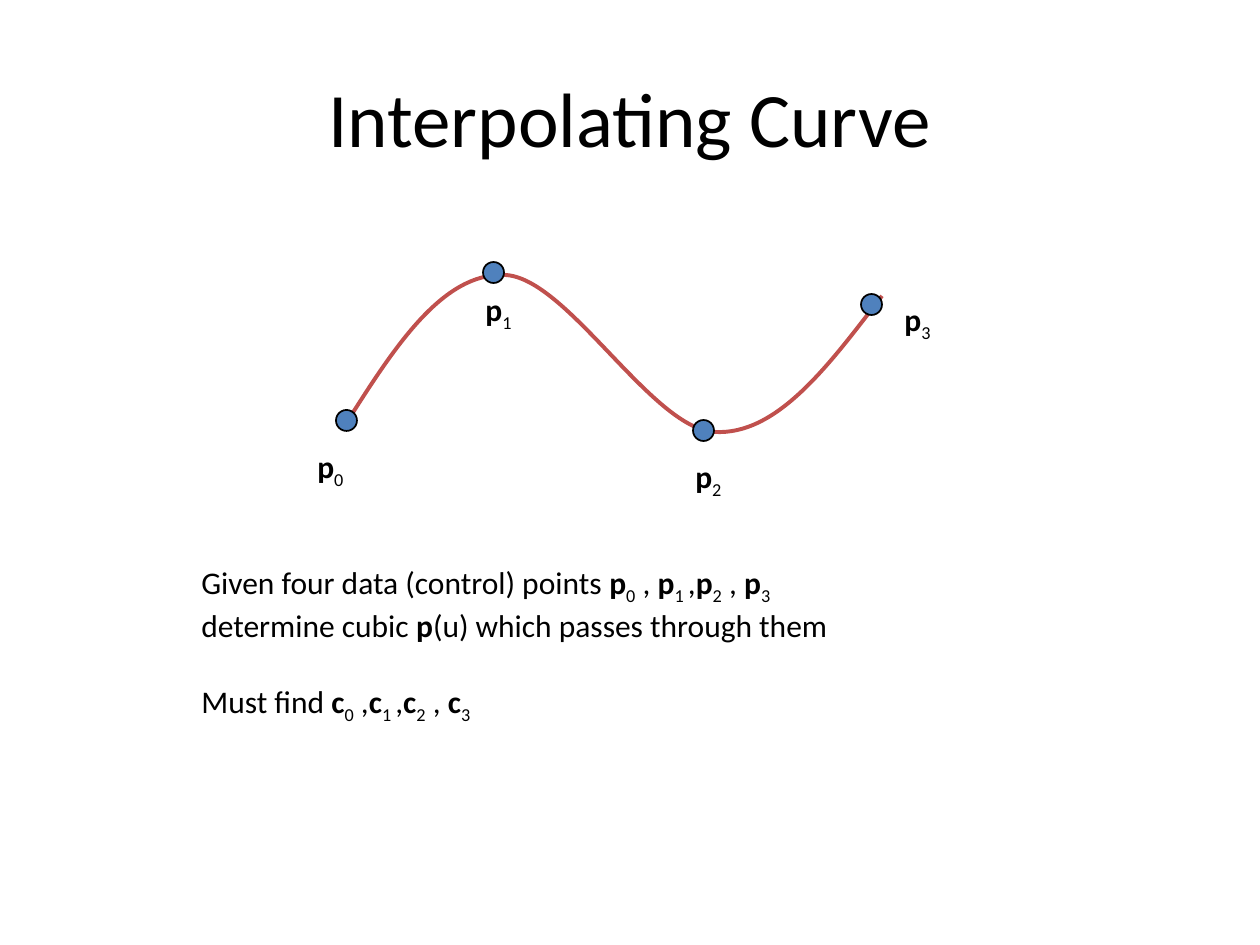
from lxml.etree import SubElement
from pptx import Presentation
from pptx.dml.color import RGBColor
from pptx.enum.shapes import MSO_SHAPE as Shape
from pptx.enum.text import MSO_ANCHOR as Anchor, MSO_AUTO_SIZE as AutoSize, PP_ALIGN as Align
from pptx.oxml.ns import qn
from pptx.util import Inches, Pt

PX = Inches(1) / 126
BLACK = RGBColor(0x00, 0x00, 0x00)
BLUE = RGBColor(0x4F, 0x81, 0xBD)
RED = RGBColor(0xC0, 0x50, 0x4D)
FONT = "Calibri"
PLAIN, BOLD, SUB = "plain", "bold", "sub"


def px(*lengths):
    return [round(length * PX) for length in lengths]


def add_text(page, box, paras, size=18):
    """Fill a text box with paragraphs, each a list of (text, style) runs."""
    frame = page.shapes.add_textbox(*px(*box)).text_frame
    frame.word_wrap = False
    frame.auto_size = AutoSize.SHAPE_TO_FIT_TEXT
    for index, runs in enumerate(paras):
        para = frame.paragraphs[0] if index == 0 else frame.add_paragraph()
        for text, style in runs:
            span = para.add_run()
            span.text = text
            span.font.name = FONT
            span.font.size = Pt(size)
            span.font.bold = style == BOLD
            span.font.color.rgb = BLACK
            if style == SUB:
                span._r.get_or_add_rPr().set("baseline", "-25000")
    return frame


def add_title(page, box):
    frame = add_text(page, box, [[("Interpolating Curve", PLAIN)]], size=44)
    frame.auto_size = AutoSize.NONE
    frame.word_wrap = True
    frame.vertical_anchor = Anchor.MIDDLE
    frame.paragraphs[0].alignment = Align.CENTER


def add_bezier(page, points):
    """Draw a start point followed by triples of cubic Bézier points."""
    builder = page.shapes.build_freeform(*points[0], scale=PX)
    builder.add_line_segments(points[1:], close=False)
    curve = builder.convert_to_shape()
    curve.shadow.inherit = False
    curve.fill.background()
    curve.line.color.rgb = RED
    curve.line.width = Pt(2.25)

    outline = next(curve._element.iter(qn("a:path")))
    segments = outline.findall(qn("a:lnTo"))
    for start in range(0, len(segments), 3):
        cubic = SubElement(outline, qn("a:cubicBezTo"))
        for segment in segments[start:start + 3]:
            cubic.append(segment[0])
            outline.remove(segment)


def add_dot(page, x, y, size=21):
    dot = page.shapes.add_shape(Shape.OVAL, *px(x, y, size, size))
    dot.shadow.inherit = False
    dot.fill.solid()
    dot.fill.fore_color.rgb = BLUE
    dot.line.color.rgb = BLACK
    dot.line.width = Pt(1)


def add_curve_diagram(page, box):
    left, top = box[:2]
    curve = [(42, 160), (89, 86), (137, 11), (199, 13), (261, 14), (346, 166),
             (409, 170), (472, 174), (524, 103), (577, 34)]
    add_bezier(page, [(left + x, top + y) for x, y in curve])
    dots = [(31, 148), (178, 0), (388, 158), (556, 32)]
    labels = [(0, 179), (168, 22), (378, 189), (587, 32)]
    for x, y in dots:
        add_dot(page, left + x, top + y)
    for index, (x, y) in enumerate(labels):
        add_text(page, (left + x, top + y, 63, 63), [[("p", BOLD), (str(index), SUB)]])


def indexed_list(letter, first_gap):
    """Runs for the four subscripted names of one letter."""
    subscripts = ["0", "1 ", "2", "3"]
    gaps = [first_gap, ",", " , ", ""]
    runs = []
    for subscript, gap in zip(subscripts, gaps):
        runs += [(letter, BOLD), (subscript, SUB)]
        if gap:
            runs.append((gap, PLAIN))
    return runs


def add_explanation(page, box):
    frame = add_text(page, box, [
        [("Given four data (control) points ", PLAIN)] + indexed_list("p", " , "),
        [("determine cubic ", PLAIN), ("p", BOLD), ("(u) which passes through them", PLAIN)],
        [("Must find ", PLAIN)] + indexed_list("c", " ,"),
    ])
    frame.paragraphs[2].space_before = Pt(22)


def main():
    deck = Presentation()
    deck.slide_width, deck.slide_height = px(1260, 945)
    page = deck.slides.add_slide(deck.slide_layouts[6])
    add_title(page, (63, 38, 1134, 157))
    add_curve_diagram(page, (305, 262, 650, 252))
    add_explanation(page, (189, 557, 844, 214))
    deck.save("out.pptx")


if __name__ == "__main__":
    main()
